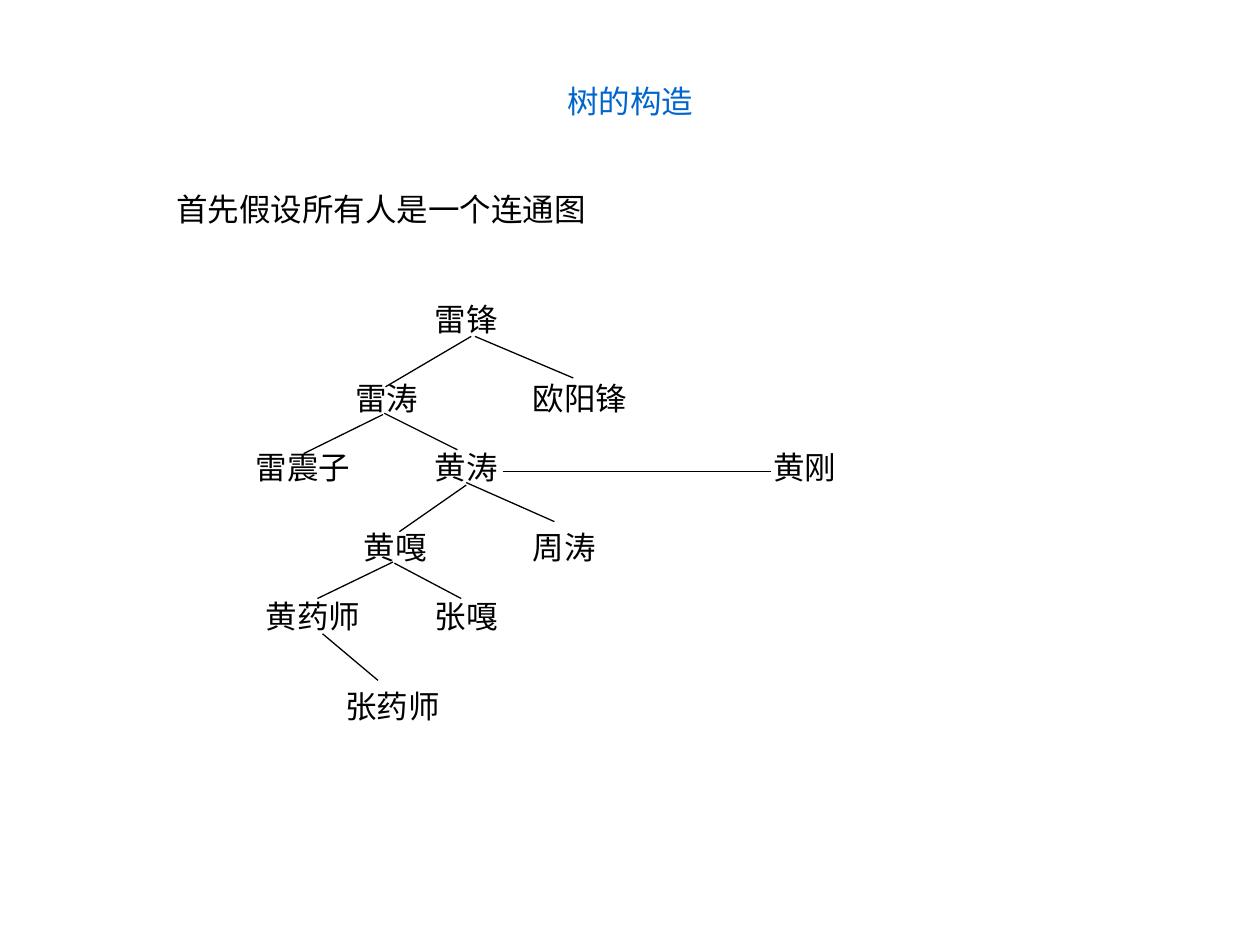
from lxml import etree
from pptx import Presentation
from pptx.dml.color import RGBColor
from pptx.enum.lang import MSO_LANGUAGE_ID
from pptx.enum.shapes import MSO_CONNECTOR
from pptx.enum.text import MSO_ANCHOR, MSO_AUTO_SIZE, PP_ALIGN
from pptx.oxml.ns import qn
from pptx.util import Inches, Pt

STRAIGHT = MSO_CONNECTOR.STRAIGHT
CHINESE = MSO_LANGUAGE_ID.SIMPLIFIED_CHINESE
TOP = MSO_ANCHOR.TOP
FIT_SHAPE = MSO_AUTO_SIZE.SHAPE_TO_FIT_TEXT
NO_FIT = MSO_AUTO_SIZE.NONE
LEFT, CENTER = PP_ALIGN.LEFT, PP_ALIGN.CENTER

BLACK = RGBColor(0x00, 0x00, 0x00)
BLUE = RGBColor(0x00, 0x66, 0xCC)
TEXT_FONT = "Arial"
TITLE_FONT = "Noto Sans CJK SC"
LINE_HEIGHT = 0.4

# Names with left, top and width inside the tree box
PEOPLE = [
    ("雷锋", 1.42, 0, 1.02),
    ("雷涛", 0.79, 0.63, 0.87),
    ("欧阳锋", 2.2, 0.63, 1.34),
    ("雷震子", 0, 1.18, 1.02),
    ("黄涛", 1.42, 1.18, 1.02),
    ("黄刚", 4.11, 1.18, 0.79),
    ("黄嘎", 0.86, 1.81, 1.02),
    ("周涛", 2.2, 1.81, 1.02),
    ("黄药师", 0.08, 2.36, 1.02),
    ("张嘎", 1.42, 2.36, 1.02),
    ("张药师", 0.71, 3.07, 1.1),
]

# Start and end of each branch inside the tree box
BRANCHES = [
    (1.81, 0.34, 1.13, 0.74),  # 雷锋 - 雷涛
    (1.84, 0.34, 2.62, 0.67),  # 雷锋 - 欧阳锋
    (1.11, 0.96, 0.48, 1.27),  # 雷涛 - 雷震子
    (1.12, 0.95, 1.7, 1.24),   # 雷涛 - 黄涛
    (2.06, 1.41, 4.19, 1.41),  # 黄涛 - 黄刚
    (1.77, 1.52, 1.24, 1.89),  # 黄涛 - 黄嘎
    (1.77, 1.5, 2.47, 1.81),   # 黄涛 - 周涛
    (1.19, 2.13, 0.59, 2.42),  # 黄嘎 - 黄药师
    (1.2, 2.14, 1.73, 2.42),   # 黄嘎 - 张嘎
    (0.63, 2.7, 1.07, 3.07),   # 黄药师 - 张药师
]


def write_text(frame, text, font_name, color, alignment):
    frame.margin_left = frame.margin_right = Inches(0.1)
    frame.margin_top = frame.margin_bottom = Inches(0.05)
    frame.vertical_anchor = TOP
    para = frame.paragraphs[0]
    para.alignment = alignment
    para.space_before = Pt(0)
    span = para.add_run()
    span.text = text
    span.font.name = font_name
    span.font.size = Pt(18)
    span.font.color.rgb = color
    span.font.language_id = CHINESE
    return span


def add_label(page, text, left, top, width):
    box = page.shapes.add_textbox(
        Inches(left), Inches(top), Inches(width), Inches(LINE_HEIGHT))
    frame = box.text_frame
    frame.word_wrap = True
    frame.auto_size = FIT_SHAPE
    write_text(frame, text, TEXT_FONT, BLACK, LEFT)


def add_branch(page, x1, y1, x2, y2):
    branch = page.shapes.add_connector(
        STRAIGHT, Inches(x1), Inches(y1), Inches(x2), Inches(y2))
    branch.line.color.rgb = BLACK
    branch.line.width = Pt(0.75)
    properties = branch._element.find(qn("p:spPr"))
    etree.SubElement(properties, qn("a:effectLst"))


def place_title(page, left, top, width, height):
    title = page.shapes.title
    title.left, title.top = Inches(left), Inches(top)
    title.width, title.height = Inches(width), Inches(height)
    frame = title.text_frame
    frame.word_wrap = False
    frame.auto_size = NO_FIT
    span = write_text(frame, "树的构造", TITLE_FONT, BLUE, CENTER)
    # Chinese characters take the East Asian typeface
    east_asian = etree.SubElement(span.font._element, qn("a:ea"))
    east_asian.set("typeface", TITLE_FONT)


def place_tree(page, left, top):
    for x1, y1, x2, y2 in BRANCHES:
        add_branch(page, left + x1, top + y1, left + x2, top + y2)
    for name, x, y, width in PEOPLE:
        add_label(page, name, left + x, top + y, width)


def main():
    deck = Presentation()
    deck.slide_width, deck.slide_height = Inches(10), Inches(7.5)
    page = deck.slides.add_slide(deck.slide_layouts[5])  # title only

    place_title(page, 3.74, 0.6, 2.52, 0.58)
    add_label(page, "首先假设所有人是一个连通图", 1.3, 1.46, 4.02)
    place_tree(page, 1.93, 2.33)

    deck.save("out.pptx")


if __name__ == "__main__":
    main()
